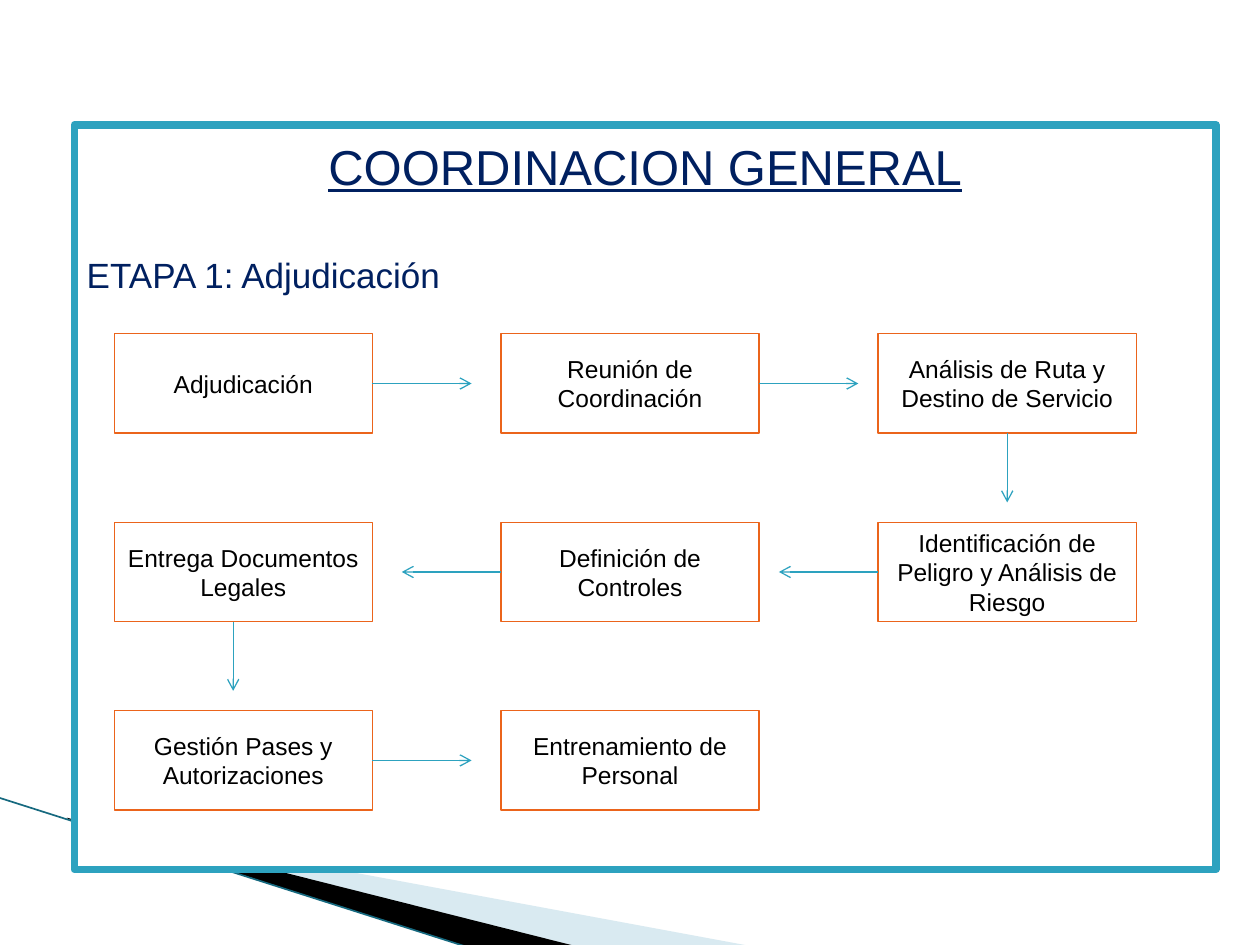
import pptx
import pptx.util
import pptx.dml.color
import pptx.enum.shapes
import pptx.enum.text
import pptx.oxml.ns
import lxml.etree

Pt = pptx.util.Pt
Align = pptx.enum.text.PP_ALIGN
Anchor = pptx.enum.text.MSO_ANCHOR
RIGHT, LEFT, DOWN = (1, 0), (-1, 0), (0, 1)
SIDES = {RIGHT: 3, LEFT: 1, DOWN: 2}


def rgb(code):
    return pptx.dml.color.RGBColor.from_string(code)


def sub(node, tag, **attrs):
    return lxml.etree.SubElement(node, pptx.oxml.ns.qn(tag), **attrs)


class Board:
    font = "Arial"
    white, black, navy = "FFFFFF", "000000", "002060"
    teal, orange, pale, deep = "2DA2BF", "EB641B", "A0CBDC", "16697F"

    def __init__(self, slide):
        self.slide = slide
        self.shapes = slide.shapes

    def label(self, shape, text, size, color, align, anchor, under=False):
        frame = shape.text_frame
        frame.word_wrap = True
        frame.auto_size = pptx.enum.text.MSO_AUTO_SIZE.NONE
        frame.vertical_anchor = anchor
        para = frame.paragraphs[0]
        para.alignment = align
        run = para.add_run()
        run.text = text
        run.font.name = self.font
        run.font.size = Pt(size)
        run.font.underline = under
        run.font.color.rgb = rgb(color)

    def title(self, text, left, top, width, height):
        shape = self.shapes.title
        shape.left, shape.top = Pt(left), Pt(top)
        shape.width, shape.height = Pt(width), Pt(height)
        shape.text_frame.margin_top = shape.text_frame.margin_bottom = 0
        self.label(shape, text, 28, self.navy, Align.CENTER, Anchor.TOP, True)
        # The title must lie above the frame.
        self.shapes._spTree.append(shape._element)

    def rect(self, left, top, width, height, color, weight):
        shape = self.shapes.add_shape(
            pptx.enum.shapes.MSO_SHAPE.RECTANGLE,
            Pt(left), Pt(top), Pt(width), Pt(height))
        shape.shadow.inherit = False
        shape.fill.solid()
        shape.fill.fore_color.rgb = rgb(self.white)
        shape.line.color.rgb = rgb(color)
        shape.line.width = Pt(weight)
        return shape

    def frame(self, text, left, top, width, height, inset):
        shape = self.rect(left, top, width, height, self.teal, 4.33)
        sub(shape._element.spPr.get_or_add_ln(), "a:round")
        shape.text_frame.margin_top = Pt(inset)
        self.label(shape, text, 20, self.navy, Align.LEFT, Anchor.TOP)

    def step(self, text, left, top, width, height):
        shape = self.rect(left, top, width, height, self.orange, 0.75)
        self.label(shape, text, 14, self.black, Align.CENTER, Anchor.MIDDLE)
        return shape

    def wedge(self, points, color, alpha=100):
        """Draw a filled outline; alpha is its opacity in percent."""
        start, *rest = [(Pt(x), Pt(y)) for x, y in points]
        pen = self.shapes.build_freeform(*start)
        pen.add_line_segments(rest, close=True)
        shape = pen.convert_to_shape()
        shape.shadow.inherit = False
        shape.fill.solid()
        shape.fill.fore_color.rgb = rgb(color)
        shape.line.fill.background()
        if alpha < 100:
            tint = shape._element.spPr.find(
                ".//" + pptx.oxml.ns.qn("a:srgbClr"))
            sub(tint, "a:alpha", val=str(alpha * 1000))

    def line(self, x1, y1, x2, y2, color, weight):
        line = self.shapes.add_connector(
            pptx.enum.shapes.MSO_CONNECTOR.STRAIGHT,
            Pt(x1), Pt(y1), Pt(x2), Pt(y2))
        line.line.color.rgb = rgb(color)
        line.line.width = Pt(weight)
        sub(line._element.spPr, "a:effectLst")
        return line

    def arrow(self, x, y, way, length):
        line = self.line(x, y, x + way[0] * length, y + way[1] * length,
                         self.teal, 0.75)
        sub(line._element.spPr.get_or_add_ln(), "a:tailEnd", type="arrow")
        return line


def main():
    deck = pptx.Presentation()
    deck.slide_width, deck.slide_height = Pt(720), Pt(540)
    board = Board(deck.slides.add_slide(deck.slide_layouts[5]))

    board.wedge([(39.6, 468.5), (428.4, 540.5), (328.3, 540.5)],
                board.pale, 40)
    board.wedge([(38.2, 467.3), (329, 540.7), (267.8, 541.4), (38.9, 468)],
                board.black)
    board.line(-0.7, 455.8, 267.8, 541.4, board.deep, 0.95)

    board.frame("ETAPA 1: Adjudicación", 42.5, 71.3, 652.3, 425.5, 73.5)
    board.title("COORDINACION GENERAL", 42.5, 78, 652.3, 36)

    cols, top, pitch = (65.3, 286.3, 501.8), 190.8, 107.7
    wide, high = 147.5, 56.7
    # Column, row, text and the way to the next step.
    steps = [
        (0, 0, "Adjudicación", RIGHT),
        (1, 0, "Reunión de Coordinación", RIGHT),
        (2, 0, "Análisis de Ruta y Destino de Servicio", DOWN),
        (2, 1, "Identificación de Peligro y Análisis de Riesgo", LEFT),
        (1, 1, "Definición de Controles", LEFT),
        (0, 1, "Entrega Documentos Legales", DOWN),
        (0, 2, "Gestión Pases y Autorizaciones", RIGHT),
        (1, 2, "Entrenamiento de Personal", None),
    ]
    for col, row, text, way in steps:
        x, y = cols[col], top + row * pitch
        box = board.step(text, x, y, wide, high)
        if way is None:
            continue
        # The first column's downward arrow leaves left of the middle.
        off = -5.8 if way == DOWN and col == 0 else 0
        line = board.arrow(x + wide / 2 * (1 + way[0]) + off,
                           y + high / 2 * (1 + way[1]),
                           way, 39.6 if way == DOWN else 56.7)
        if not off:
            line.begin_connect(box, SIDES[way])

    deck.save("out.pptx")


if __name__ == "__main__":
    main()
